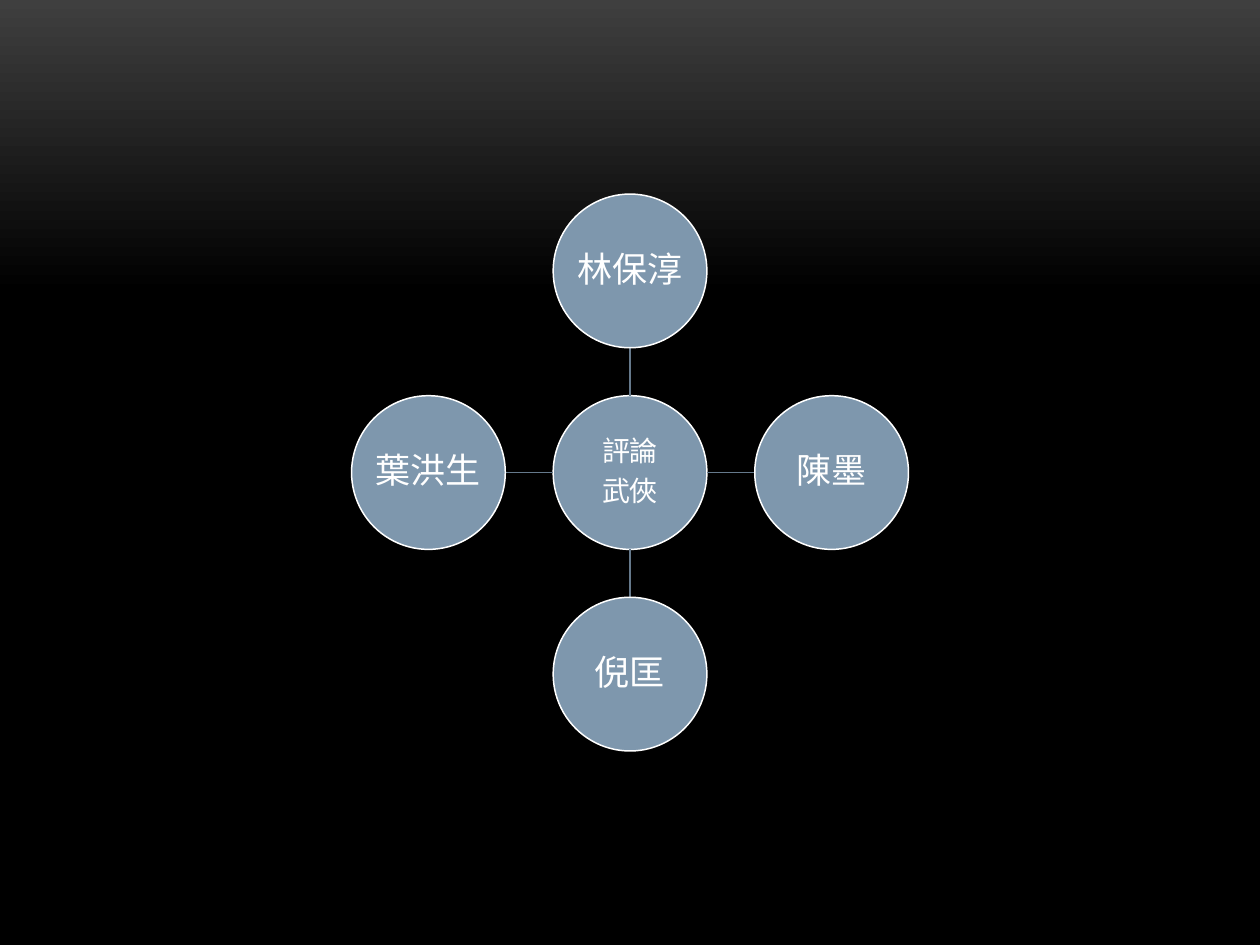
from typing import NamedTuple

from lxml.etree import SubElement
from pptx import Presentation
from pptx.dml.color import RGBColor
from pptx.enum.shapes import MSO_CONNECTOR as Link, MSO_SHAPE as Form
from pptx.enum.text import MSO_ANCHOR as Anchor, PP_ALIGN as Align
from pptx.oxml.ns import qn
from pptx.util import Inches, Pt

WHITE = RGBColor(0xFF, 0xFF, 0xFF)
BLACK = RGBColor(0x00, 0x00, 0x00)
GREY = RGBColor(0x3F, 0x3F, 0x3F)
BLUE = RGBColor(0x7E, 0x97, 0xAD)
SLATE = RGBColor(0x65, 0x79, 0x8B)

WIDE, HIGH = Inches(10), Inches(7.5)
SIZE = Inches(1.22)  # circle diameter
STEP = Inches(1.6)   # grid pitch between circle centres
PEN = Pt(0.85)
INSET = Inches(0.01)

FRAME = {"word_wrap": True, "vertical_anchor": Anchor.MIDDLE,
         "margin_left": INSET, "margin_right": INSET,
         "margin_top": INSET, "margin_bottom": INSET}
PARA = {"alignment": Align.CENTER, "line_spacing": 0.9}


class Node(NamedTuple):
    col: int  # grid steps from the slide's centre
    row: int
    text: str
    points: int = 20


HUB = Node(0, 0, "評論\n武俠", 16)
CRITICS = [Node(0, -1, "林保淳"), Node(1, 0, "陳墨"),
           Node(0, 1, "倪匡"), Node(-1, 0, "葉洪生")]


def apply(item, values: dict) -> None:
    for name, value in values.items():
        setattr(item, name, value)


def spot(col: float, row: float) -> tuple[int, int]:
    return int(WIDE / 2 + col * STEP), int(HIGH / 2 + row * STEP)


def draw_node(slide, node: Node) -> None:
    x, y = spot(node.col, node.row)
    disc = slide.shapes.add_shape(Form.OVAL, x - SIZE // 2, y - SIZE // 2, SIZE, SIZE)
    disc.shadow.inherit = False
    disc.fill.solid()
    disc.fill.fore_color.rgb = BLUE
    disc.line.color.rgb = WHITE
    disc.line.width = PEN

    frame = disc.text_frame
    frame.text = node.text
    apply(frame, FRAME)
    for para in frame.paragraphs:
        apply(para, PARA)
        # Space after as a share of the text size
        after = SubElement(para._p.get_or_add_pPr(), qn("a:spcAft"))
        SubElement(after, qn("a:spcPct"), val="35000")
        for run in para.runs:
            apply(run.font, {"name": "Arial Narrow", "size": Pt(node.points)})
            run.font.color.rgb = WHITE


def draw_spoke(slide, node: Node) -> None:
    # From the hub's rim to the outer circle's rim
    rim = SIZE / 2 / STEP
    start = spot(node.col * rim, node.row * rim)
    end = spot(node.col * (1 - rim), node.row * (1 - rim))
    spoke = slide.shapes.add_connector(Link.STRAIGHT, *start, *end)
    spoke.line.color.rgb = SLATE
    spoke.line.width = PEN
    SubElement(spoke._element.spPr, qn("a:effectLst"))


def paint_back(slide) -> None:
    fill = slide.background.fill
    fill.gradient()
    fill.gradient_angle = 270
    for stop, (place, tone) in zip(fill.gradient_stops, [(0, GREY), (0.31, BLACK)]):
        stop.position = place
        stop.color.rgb = tone


def main() -> None:
    deck = Presentation()
    apply(deck, {"slide_width": WIDE, "slide_height": HIGH})
    slide = deck.slides.add_slide(deck.slide_layouts[6])
    paint_back(slide)

    # Hub, then each critic with its spoke
    draw_node(slide, HUB)
    for critic in CRITICS:
        draw_spoke(slide, critic)
        draw_node(slide, critic)
    deck.save("out.pptx")


if __name__ == "__main__":
    main()
